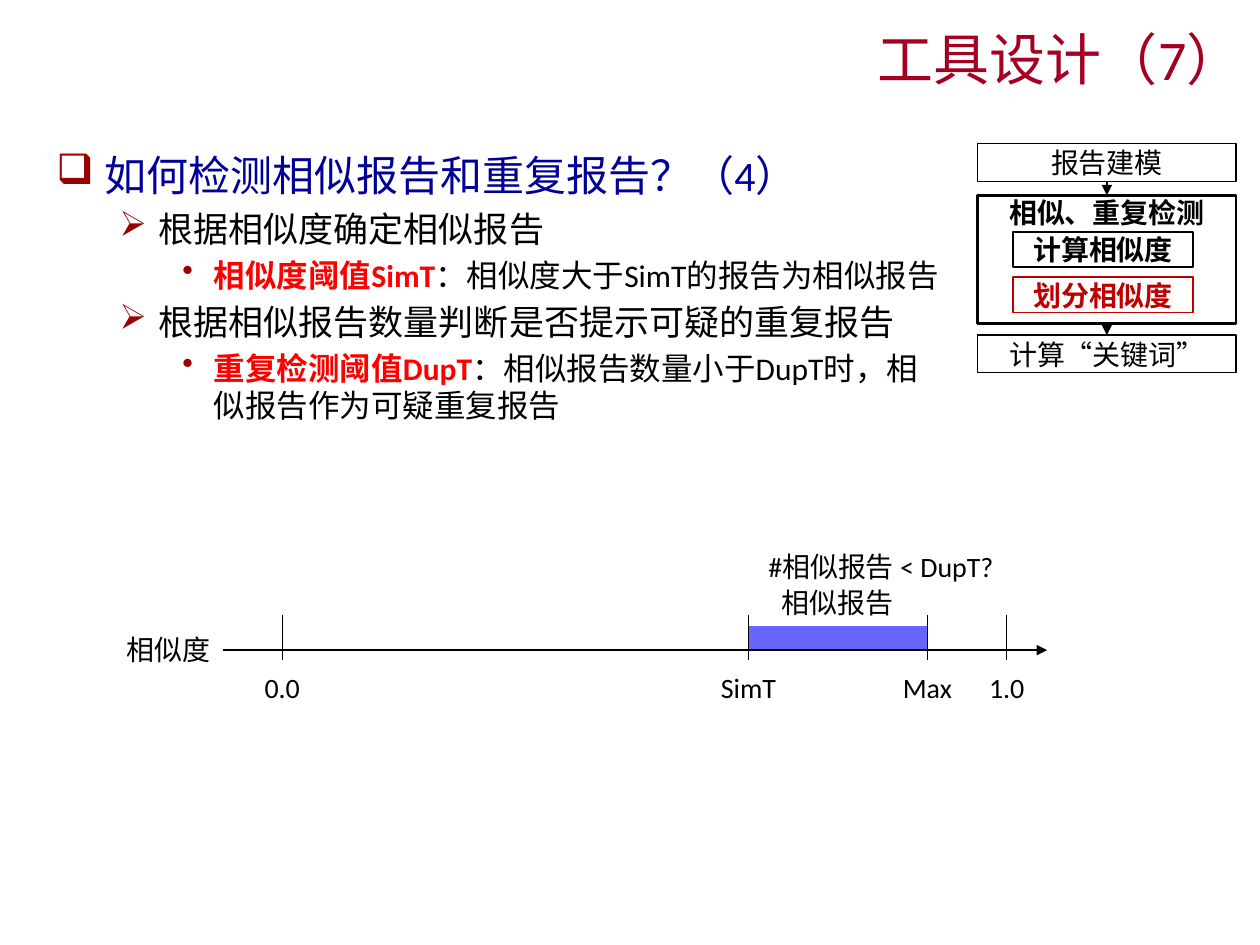
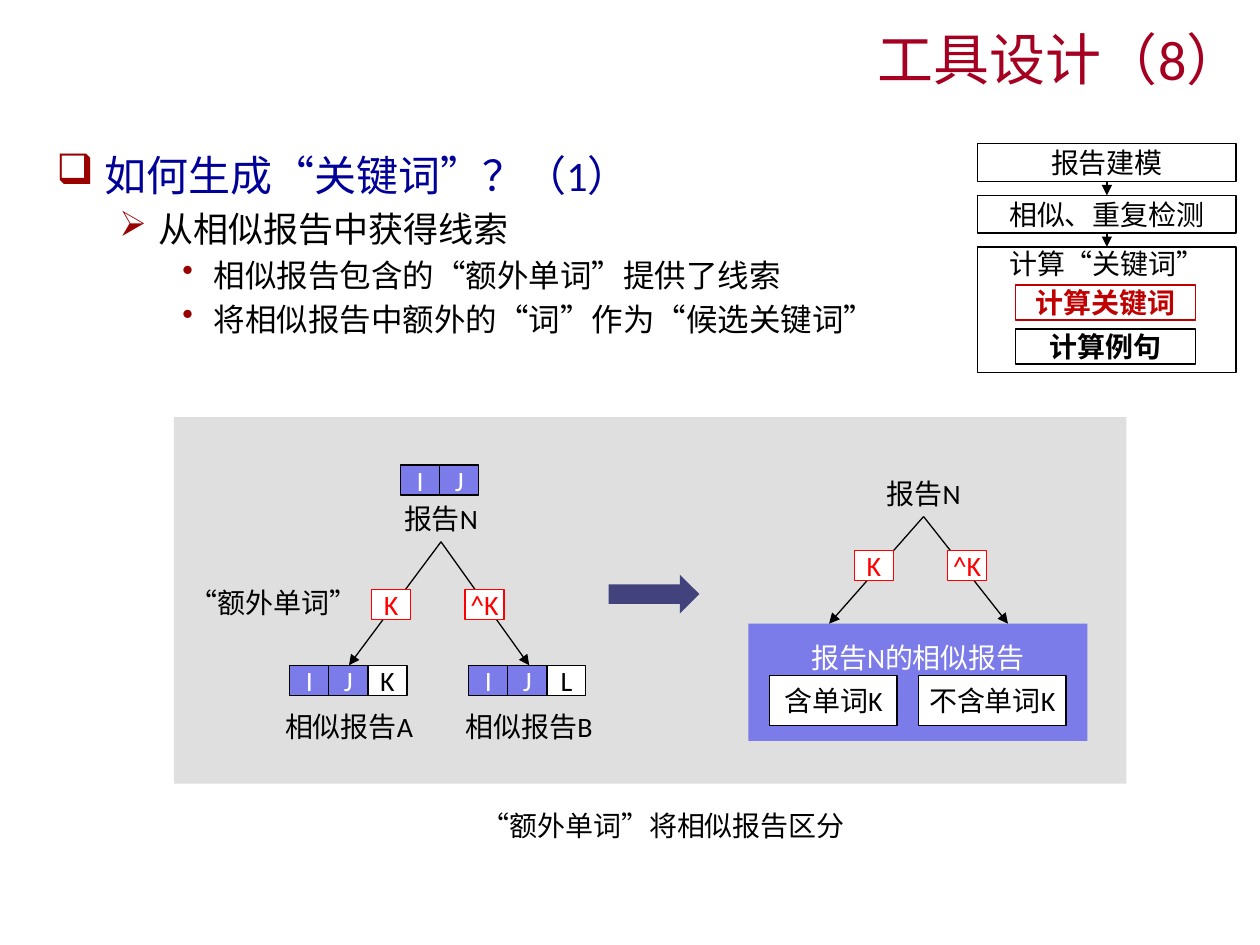
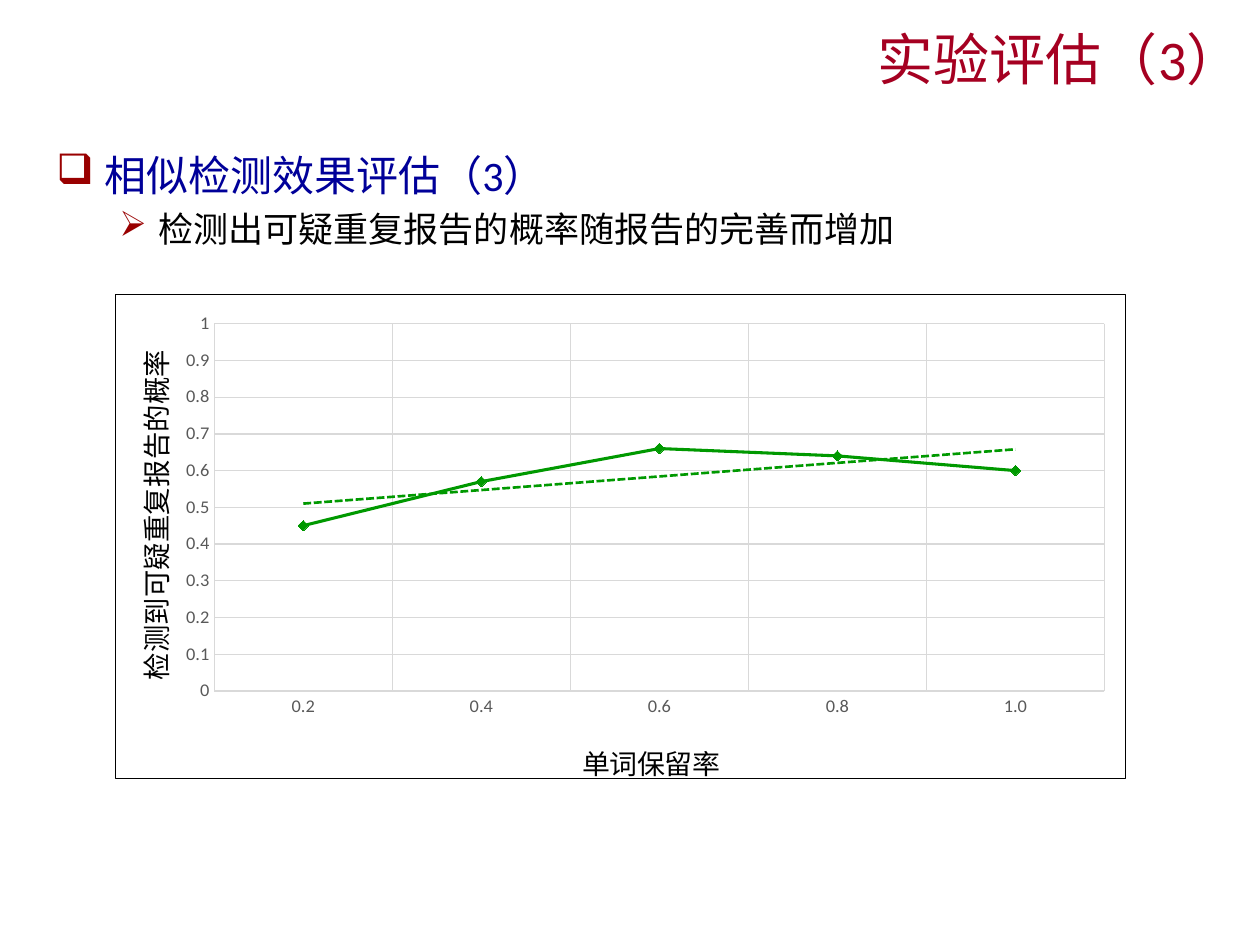
from dataclasses import dataclass
from itertools import groupby, pairwise

from lxml import etree
from pptx import Presentation
from pptx import util as u
from pptx.chart.data import CategoryChartData
from pptx.dml.color import RGBColor
from pptx.enum import chart as ch, shapes, text
from pptx.oxml import parse_xml
from pptx.oxml.ns import nsdecls, qn

LATIN, CJK = "Calibri", "Noto Sans CJK SC"
BLACK, WHITE, RED, GRAY = "000000", "FFFFFF", "FF0000", "D9D9D9"
TITLE, HEADING, BULLET, ACTIVE = "A50021", "000099", "990000", "C00000"
PERIWINKLE, GREEN = "7B7BE9", "009900"
ALIGN, ANCHOR = text.PP_ALIGN, text.MSO_ANCHOR


@dataclass(frozen=True)
class Box:
    x: float
    y: float
    w: float
    h: float

    def lengths(self) -> list:
        return [u.Inches(v) for v in (self.x, self.y, self.w, self.h)]


@dataclass(frozen=True)
class Bullet:
    level: int
    text: str
    lead: str = ""  # bold red opening words


@dataclass(frozen=True)
class Step:
    y: float
    h: float
    text: str
    bold: bool = False


@dataclass(frozen=True)
class SubStep:
    y: float
    text: str
    color: str = BLACK


@dataclass(frozen=True)
class Level:
    mark: str
    left: float
    hang: float
    size: int
    color: str


LEVELS = [
    Level("❑", 0.38, 0.38, 24, HEADING),
    Level("➢", 0.81, 0.31, 20, BLACK),
    Level("•", 1.25, 0.25, 18, BLACK),
]


def rgb(value: str) -> RGBColor:
    return RGBColor.from_string(value)


# Text
def add_runs(p, words: str, size: float, color: str = BLACK, bold: bool = False) -> None:
    """Split the words into Latin and CJK runs, each in its own font."""
    for is_latin, chars in groupby(words, str.isascii):
        r = p.add_run()
        r.text = "".join(chars)
        r.font.size, r.font.bold = u.Pt(size), bold
        r.font.color.rgb = rgb(color)
        r.font.name = LATIN if is_latin else CJK
        etree.SubElement(r.font._element, qn("a:ea")).set("typeface", CJK)
    p.space_before = u.Pt(size * 0.2)


def label(s, at: Box, words: str, size: float = 16, color: str = BLACK,
          align=ALIGN.CENTER, anchor=ANCHOR.TOP) -> None:
    tf = s.shapes.add_textbox(*at.lengths()).text_frame
    tf.word_wrap, tf.vertical_anchor = True, anchor
    p = tf.paragraphs[0]
    p.alignment = align
    add_runs(p, words, size, color)


def bullets(s, at: Box, items: list[Bullet]) -> None:
    tf = s.shapes.add_textbox(*at.lengths()).text_frame
    tf.word_wrap = True
    for i, item in enumerate(items):
        p = tf.add_paragraph() if i else tf.paragraphs[0]
        level = LEVELS[item.level]
        p.level = item.level
        add_runs(p, item.lead, level.size, RED, bold=True)
        add_runs(p, item.text, level.size, level.color)
        pPr = p._p.get_or_add_pPr()
        pPr.set("marL", str(u.Inches(level.left)))
        pPr.set("indent", str(-u.Inches(level.hang)))
        color = etree.SubElement(pPr, qn("a:buClr"))
        etree.SubElement(color, qn("a:srgbClr")).set("val", BULLET)
        etree.SubElement(pPr, qn("a:buChar")).set("char", level.mark)


# Shapes
def shape(s, at: Box, words: str = "", fill: str = "", line: str = "", weight: float = 0.75,
          color: str = BLACK, bold: bool = False, anchor=ANCHOR.MIDDLE,
          kind=shapes.MSO_SHAPE.RECTANGLE):
    sp = s.shapes.add_shape(kind, *at.lengths())
    sp.shadow.inherit = False
    if fill:
        sp.fill.solid()
        sp.fill.fore_color.rgb = rgb(fill)
    else:
        sp.fill.background()
    if line:
        sp.line.color.rgb, sp.line.width = rgb(line), u.Pt(weight)
    else:
        sp.line.fill.background()
    tf = sp.text_frame
    tf.margin_left = tf.margin_right = tf.margin_top = tf.margin_bottom = 0
    tf.word_wrap, tf.vertical_anchor = True, anchor
    p = tf.paragraphs[0]
    p.alignment = ALIGN.CENTER
    add_runs(p, words, 16, color, bold)
    return sp


def line(s, x1: float, y1: float, x2: float, y2: float, arrow: bool = False) -> None:
    ends = [u.Inches(v) for v in (x1, y1, x2, y2)]
    c = s.shapes.add_connector(shapes.MSO_CONNECTOR.STRAIGHT, *ends)
    c.line.color.rgb, c.line.width = rgb(BLACK), u.Pt(0.75)
    if arrow:
        etree.SubElement(c.line._get_or_add_ln(), qn("a:tailEnd")).set("type", "triangle")
    etree.SubElement(c._element.spPr, qn("a:effectLst"))


# Parts the slides share
def new_slide(prs, title: str):
    s = prs.slides.add_slide(prs.slide_layouts[6])
    label(s, Box(2.95, 0.14, 7.01, 0.64), title, 32, TITLE, ALIGN.RIGHT, ANCHOR.BOTTOM)
    return s


def process(s, steps: list[Step], sub_x: float, subs: list[SubStep]) -> None:
    """Column of process steps, with the sub-steps of the current one."""
    x, w = 7.76, 2.05
    for step in steps:
        shape(s, Box(x, step.y, w, step.h), step.text, line=BLACK, bold=step.bold,
              weight=1.5 if step.bold else 0.75,
              anchor=ANCHOR.TOP if step.h > 0.5 else ANCHOR.MIDDLE)
    for upper, lower in pairwise(steps):
        line(s, x + w / 2, upper.y + upper.h, x + w / 2, lower.y, arrow=True)
    for sub in subs:
        shape(s, Box(sub_x, sub.y, 1.43, 0.28), sub.text, line=sub.color, weight=1,
              color=sub.color, bold=True)


# Slide 1: similarity thresholds
def threshold_slide(prs) -> None:
    s = new_slide(prs, "工具设计（7）")
    bullets(s, Box(0.35, 1.14, 7.24, 2.77), [
        Bullet(0, "如何检测相似报告和重复报告？（4）"),
        Bullet(1, "根据相似度确定相似报告"),
        Bullet(2, "：相似度大于SimT的报告为相似报告", "相似度阈值SimT"),
        Bullet(1, "根据相似报告数量判断是否提示可疑的重复报告"),
        Bullet(2, "：相似报告数量小于DupT时，相似报告作为可疑重复报告", "重复检测阈值DupT"),
    ])

    # Similarity axis
    ticks = {"0.0": 2.24, "SimT": 5.94, "Max": 7.36, "1.0": 7.99}
    sim, top = ticks["SimT"], ticks["Max"]
    shape(s, Box(sim, 4.97, top - sim, 0.19), fill="6565FF")
    line(s, 1.77, 5.16, 8.31, 5.16, arrow=True)
    for name, x in ticks.items():
        line(s, x, 4.88, x, 5.24)
        label(s, Box(x - 0.36, 5.27, 0.72, 0.37), name)
    label(s, Box(0.74, 4.97, 1.03, 0.37), "相似度", align=ALIGN.RIGHT)
    label(s, Box(6, 4.31, 2.13, 0.37), "#相似报告 < DupT?", align=ALIGN.LEFT)
    label(s, Box(6.1, 4.6, 1.1, 0.37), "相似报告")

    process(s, [Step(1.14, 0.3, "报告建模"), Step(1.55, 1.02, "相似、重复检测", True),
                Step(2.66, 0.3, "计算“关键词”")],
            8.04, [SubStep(1.84, "计算相似度"), SubStep(2.2, "划分相似度", ACTIVE)])


# Slide 2: extra words tell similar reports apart
def word_cells(s, x: float, y: float, words: str) -> None:
    for i, word in enumerate(words):
        common = word in "IJ"
        shape(s, Box(x + i * 0.31, y, 0.31, 0.24), word, line=BLACK,
              fill=PERIWINKLE if common else WHITE, color=WHITE if common else BLACK)


def split(s, x: float, y: float, left: float, right: float, bottom: float, drop: float) -> None:
    """Report N at (x, y) branching into reports with and without word K."""
    label(s, Box(x - 0.44, y - 0.37, 0.88, 0.37), "报告N")
    for tip in (left, right):
        line(s, x, y, tip, bottom, arrow=True)
    for word, dx in (("K", -0.55), ("^K", 0.19)):
        shape(s, Box(x + dx, y + drop, 0.31, 0.24), word, WHITE, RED, color=RED)


def keyword_slide(prs) -> None:
    s = new_slide(prs, "工具设计（8）")
    shape(s, Box(1.38, 3.31, 7.56, 2.91), fill="DFDFDF")
    bullets(s, Box(0.35, 1.14, 6.76, 1.43), [
        Bullet(0, "如何生成“关键词”？（1）"),
        Bullet(1, "从相似报告中获得线索"),
        Bullet(2, "相似报告包含的“额外单词”提供了线索"),
        Bullet(2, "将相似报告中额外的“词”作为“候选关键词”"),
    ])

    # Reports and their words
    split(s, 3.5, 4.3, 2.77, 4.2, 5.28, 0.38)
    word_cells(s, 3.18, 3.69, "IJ")
    word_cells(s, 2.3, 5.28, "IJK")
    word_cells(s, 3.72, 5.28, "IJL")
    for name, x in (("A", 2.15), ("B", 3.58)):
        label(s, Box(x, 5.58, 1.24, 0.37), "相似报告" + name, anchor=ANCHOR.MIDDLE)
    label(s, Box(1.38, 4.6, 1.58, 0.37), "“额外单词”")
    shape(s, Box(4.83, 4.56, 0.72, 0.31), fill="42427C", kind=shapes.MSO_SHAPE.RIGHT_ARROW)

    # Similar reports grouped by word K
    group = shape(s, Box(5.94, 4.95, 2.69, 0.93), "报告N的相似报告", PERIWINKLE,
                  color=WHITE, anchor=ANCHOR.TOP)
    group.text_frame.paragraphs[0].line_spacing = 1.5
    split(s, 7.33, 4.1, 6.58, 8, 4.95, 0.27)
    shape(s, Box(6.11, 5.36, 1.01, 0.4), "含单词K", WHITE, BLACK)
    shape(s, Box(7.29, 5.36, 1.17, 0.4), "不含单词K", WHITE, BLACK)
    label(s, Box(3.43, 6.37, 3.67, 0.37), "“额外单词”将相似报告区分")

    process(s, [Step(1.14, 0.3, "报告建模"), Step(1.55, 0.3, "相似、重复检测"),
                Step(1.96, 1, "计算“关键词”")],
            8.06, [SubStep(2.26, "计算关键词", ACTIVE), SubStep(2.61, "计算例句")])


# Slide 3: detection probability
def place(parent, index: int, inner: bool = False, **fractions: float) -> None:
    """Give a chart part a fixed place, in fractions of the chart."""
    old = parent.find(qn("c:layout"))
    if old is not None:
        parent.remove(old)
    layout = etree.Element(qn("c:layout"))
    manual = etree.SubElement(layout, qn("c:manualLayout"))
    if inner:
        etree.SubElement(manual, qn("c:layoutTarget")).set("val", "inner")
    for side in ("x", "y"):
        etree.SubElement(manual, qn(f"c:{side}Mode")).set("val", "edge")
    for side, value in fractions.items():
        etree.SubElement(manual, qn(f"c:{side}")).set("val", str(value))
    parent.insert(index, layout)


def outline(color: str, weight: float, dash: str = "solid"):
    return parse_xml(
        f'<c:spPr {nsdecls("c", "a")}><a:ln w="{u.Pt(weight)}"><a:solidFill>'
        f'<a:srgbClr val="{color}"/></a:solidFill><a:prstDash val="{dash}"/></a:ln></c:spPr>')


def style_axis(axis, title: str, x: float, y: float) -> None:
    axis.has_major_gridlines = True
    axis.major_tick_mark = axis.minor_tick_mark = ch.XL_TICK_MARK.NONE
    for ln in (axis.format.line, axis.major_gridlines.format.line):
        ln.color.rgb, ln.width = rgb(GRAY), u.Pt(0.75)
    font = axis.tick_labels.font
    font.name, font.size, font.color.rgb = LATIN, u.Pt(10.5), rgb("595959")
    add_runs(axis.axis_title.text_frame.paragraphs[0], title, 16)
    place(axis.axis_title._element, 1, x=x, y=y)


def evaluation_slide(prs) -> None:
    s = new_slide(prs, "实验评估（3）")
    bullets(s, Box(0.35, 1.14, 9.23, 0.96), [
        Bullet(0, "相似检测效果评估（3）"),
        Bullet(1, "检测出可疑重复报告的概率随报告的完善而增加"),
    ])

    data = CategoryChartData()
    data.categories = ["0.2", "0.4", "0.6", "0.8", "1.0"]
    data.add_series("Series 1", (0.45, 0.57, 0.66, 0.64, 0.6))
    chart = s.shapes.add_chart(ch.XL_CHART_TYPE.LINE_MARKERS,
                               *Box(0.91, 2.33, 8.03, 3.94).lengths(), data).chart
    chart.has_legend = chart.has_title = False
    chart.font.name, chart.font.size = LATIN, u.Pt(10)
    chart.font.color.rgb = rgb(BLACK)
    root = chart._chartSpace
    root.chart.addnext(outline(BLACK, 0.75))
    place(root.chart.plotArea, 0, inner=True, x=0.098, y=0.061, w=0.881, h=0.758)

    style_axis(chart.category_axis, "单词保留率", 0.457, 0.91)
    value_axis = chart.value_axis
    style_axis(value_axis, "检测到可疑重复报告的概率", 0.012, 0.12)
    value_axis.minimum_scale, value_axis.maximum_scale, value_axis.major_unit = 0, 1, 0.1

    plot = chart.plots[0]
    plot.vary_by_categories = False
    series = plot.series[0]
    series.smooth = False
    series.format.line.color.rgb, series.format.line.width = rgb(GREEN), u.Pt(1.75)
    marker = series.marker
    marker.style, marker.size = ch.XL_MARKER_STYLE.DIAMOND, 6
    marker.format.fill.solid()
    marker.format.fill.fore_color.rgb = marker.format.line.color.rgb = rgb(GREEN)

    # Linear trend line
    trend = etree.Element(qn("c:trendline"))
    trend.append(outline(GREEN, 1.5, "sysDash"))
    etree.SubElement(trend, qn("c:trendlineType")).set("val", "linear")
    for shown in ("dispRSqr", "dispEq"):
        etree.SubElement(trend, qn(f"c:{shown}")).set("val", "0")
    series._element.find(qn("c:cat")).addprevious(trend)


def main() -> None:
    prs = Presentation()
    prs.slide_width, prs.slide_height = u.Inches(10), u.Inches(7.5)
    threshold_slide(prs)
    keyword_slide(prs)
    evaluation_slide(prs)
    prs.save("out.pptx")


if __name__ == "__main__":
    main()
